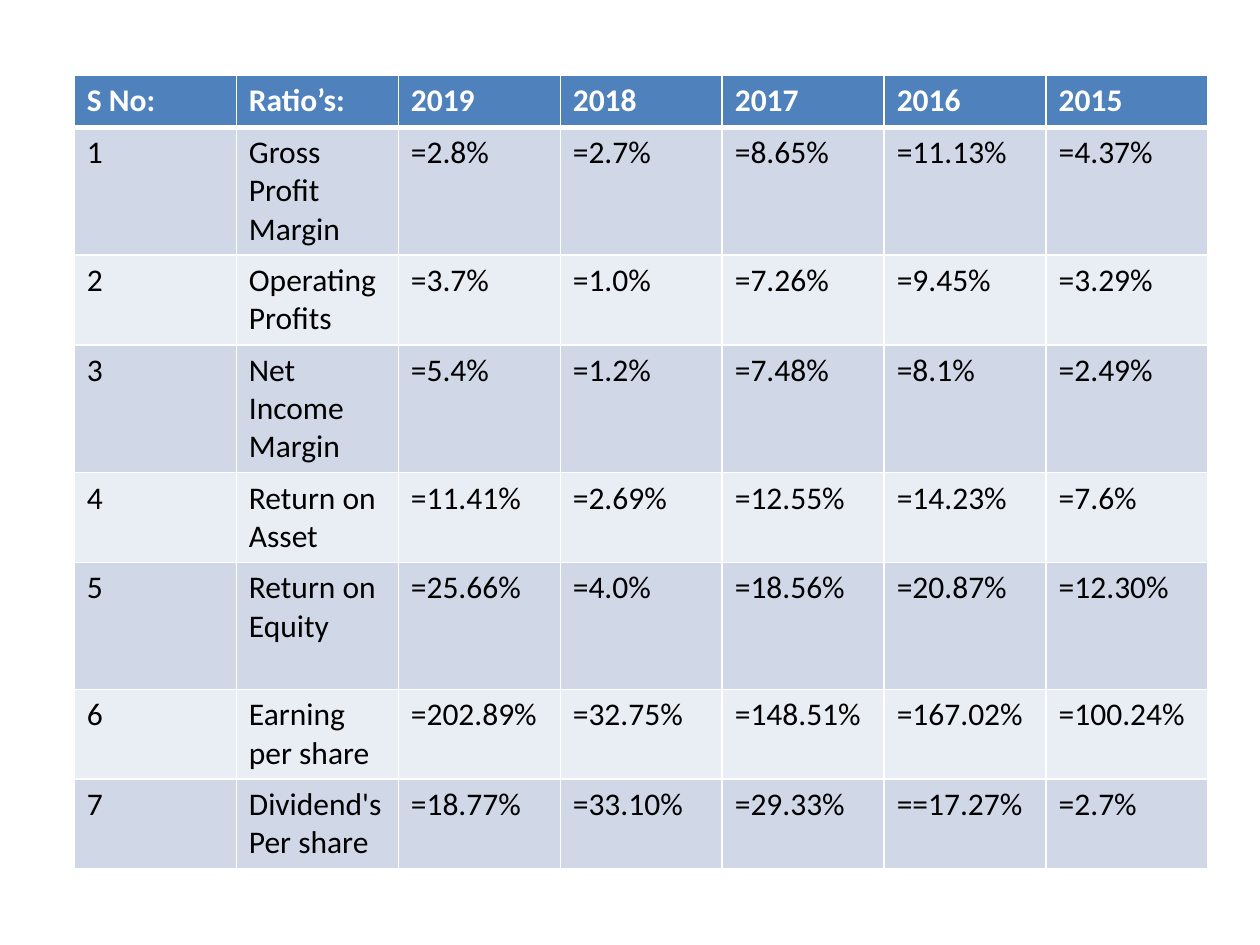
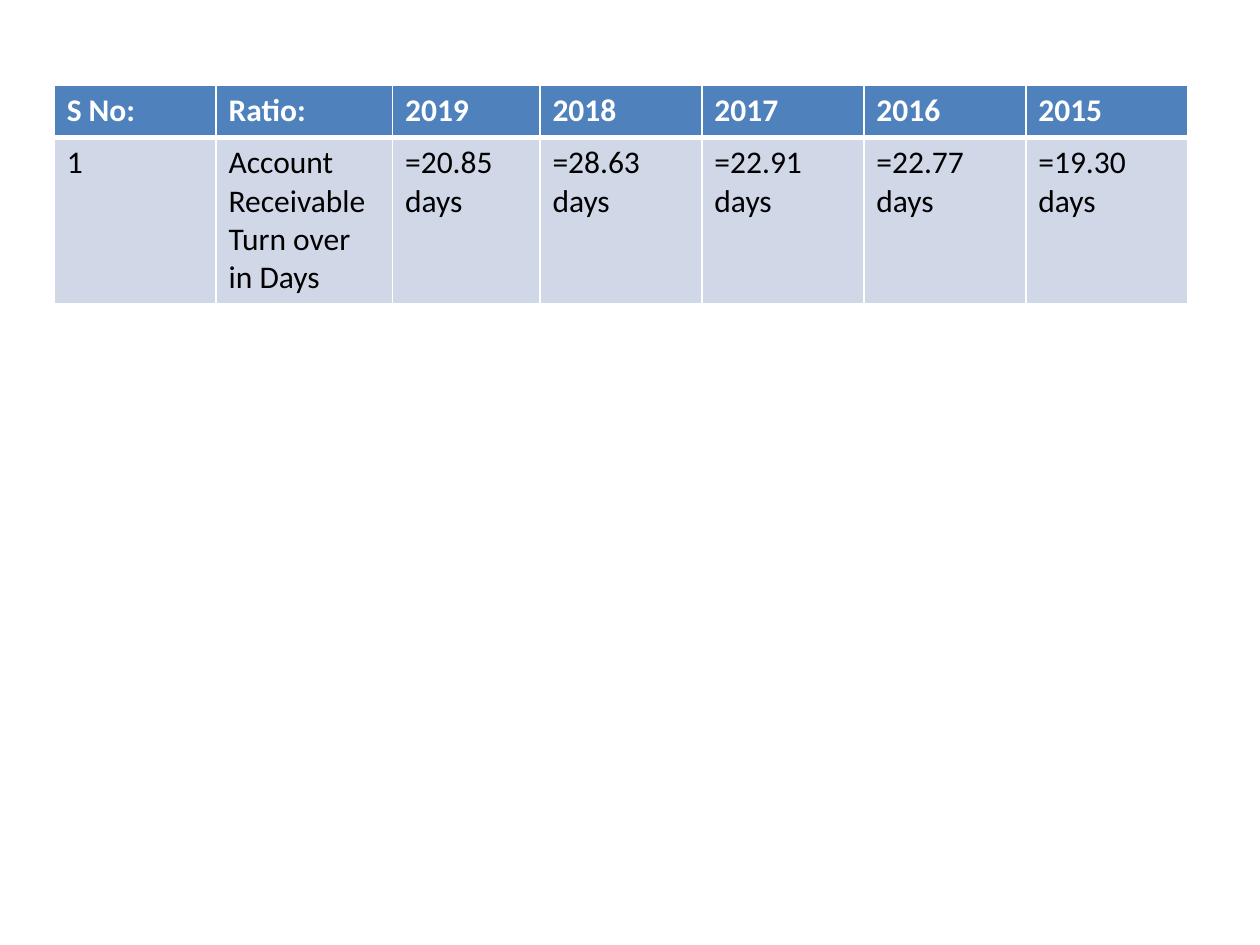
from lxml import etree
from pptx import Presentation
from pptx import util as u
from pptx.dml.color import RGBColor
from pptx.oxml import ns

FONT = "Calibri"
WHITE, BLACK = "FFFFFF", "000000"
HEADER_FILL = "4F81BD"
BAND_FILLS = ("D0D8E8", "E9EDF4")
YEARS = ["2019", "2018", "2017", "2016", "2015"]
HEADER_HEIGHT = 0.41
COLUMN = 9 / 7

PROFITABILITY = [
    ("Gross Profit Margin", "=2.8%", "=2.7%", "=8.65%", "=11.13%", "=4.37%"),
    ("Operating Profits", "=3.7%", "=1.0%", "=7.26%", "=9.45%", "=3.29%"),
    ("Net Income Margin", "=5.4%", "=1.2%", "=7.48%", "=8.1%", "=2.49%"),
    ("Return on Asset", "=11.41%", "=2.69%", "=12.55%", "=14.23%", "=7.6%"),
    ("Return on Equity", "=25.66%", "=4.0%", "=18.56%", "=20.87%", "=12.30%"),
    ("Earning per share", "=202.89%", "=32.75%", "=148.51%", "=167.02%", "=100.24%"),
    ("Dividend's Per share", "=18.77%", "=33.10%", "=29.33%", "==17.27%", "=2.7%"),
]
RECEIVABLES = [
    ("Account Receivable Turn over in Days", "=20.85 days", "=28.63 days",
     "=22.91 days", "=22.77 days", "=19.30 days"),
]


def rgb(value):
    return RGBColor.from_string(value)


def write(cell, text, size=18, color=BLACK, bold=False):
    run = cell.text_frame.paragraphs[0].add_run()
    run.text = text
    run.font.name = FONT
    run.font.size = u.Pt(size)
    run.font.bold = bold
    run.font.color.rgb = rgb(color)


def set_borders(cell, top=1, bottom=1):
    """White cell edges, widths in points; they must precede the fill."""
    properties = cell._tc.get_or_add_tcPr()
    widths = {"lnL": 1, "lnR": 1, "lnT": top, "lnB": bottom}
    for position, (edge, width) in enumerate(widths.items()):
        line = etree.Element(ns.qn(f"a:{edge}"), w=str(u.Pt(width)))
        fill = etree.SubElement(line, ns.qn("a:solidFill"))
        etree.SubElement(fill, ns.qn("a:srgbClr"), val=WHITE)
        properties.insert(position, line)


def add_ratio_table(slide, left, top, ratio_heading, ratios, column_widths, row_heights):
    heights = [HEADER_HEIGHT, *row_heights]
    rows = [["S No:", ratio_heading, *YEARS]]
    rows += [[str(number), *ratio] for number, ratio in enumerate(ratios, 1)]
    table = slide.shapes.add_table(
        len(rows), len(column_widths), u.Inches(left), u.Inches(top),
        u.Inches(sum(column_widths)), u.Inches(sum(heights))).table

    for column, width in zip(table.columns, column_widths):
        column.width = u.Inches(width)
    for row, height in zip(table.rows, heights):
        row.height = u.Inches(height)

    # Header row, then alternating bands
    for index, values in enumerate(rows):
        is_header = index == 0
        fill = HEADER_FILL if is_header else BAND_FILLS[(index - 1) % 2]
        for cell, value in zip(table.rows[index].cells, values):
            write(cell, value, color=WHITE if is_header else BLACK, bold=is_header)
            cell.fill.solid()
            cell.fill.fore_color.rgb = rgb(fill)
            set_borders(cell, top=3 if index == 1 else 1, bottom=3 if is_header else 1)


def main():
    deck = Presentation()
    deck.slide_width, deck.slide_height = u.Inches(10), u.Inches(7.5)
    blank = deck.slide_layouts[6]

    # Profitability ratios
    add_ratio_table(deck.slides.add_slide(blank), 0.59, 0.6, "Ratio’s:", PROFITABILITY,
                    [COLUMN] * 7, [1.01, 0.71, 1.01, 0.71, 1.01, 0.71, 0.71])

    # Receivables turnover
    add_ratio_table(deck.slides.add_slide(blank), 0.43, 0.68, "Ratio:", RECEIVABLES,
                    [COLUMN, 1.4, 1.17] + [COLUMN] * 4, [1.3])

    deck.save("out.pptx")


if __name__ == "__main__":
    main()
